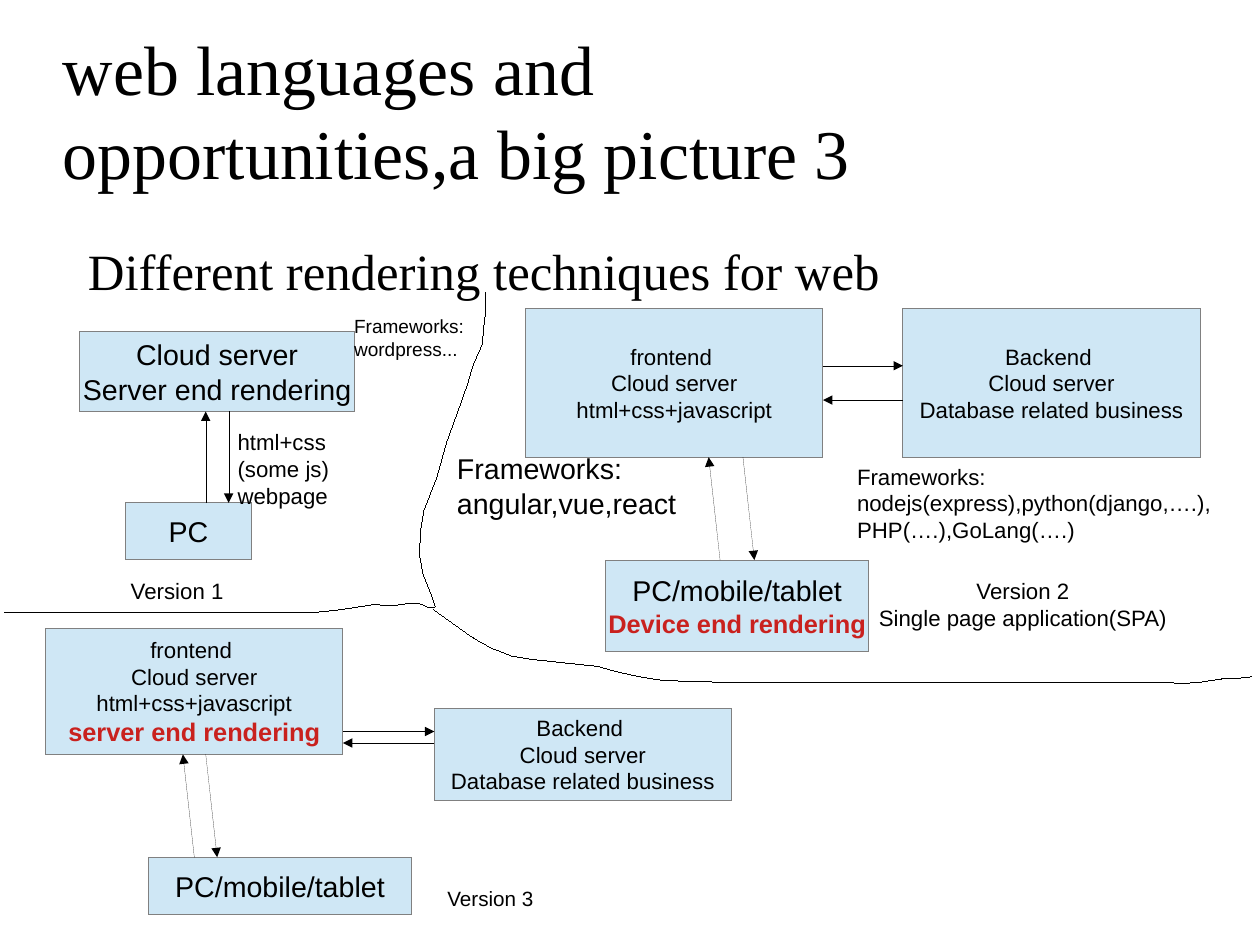
from lxml.etree import SubElement
from pptx import Presentation
from pptx.dml.color import RGBColor
from pptx.enum.shapes import MSO_CONNECTOR, MSO_SHAPE
from pptx.enum.text import MSO_ANCHOR, PP_ALIGN
from pptx.oxml.ns import qn
from pptx.util import Cm, Pt

PX = 9144
COLORS = {"ink": "000000", "box": "CFE7F5", "border": "808080", "accent": "C9211E"}
TITLE = {"size": Pt(44), "name": "Times New Roman"}
SUBTITLE = {"size": Pt(32), "name": "Times New Roman"}
LARGE = {"size": Pt(18), "name": "Arial"}
BODY = {"size": Pt(14), "name": "Arial"}
CAPTION = {"size": Pt(13), "name": "Arial"}
SMALL = {"size": Pt(12), "name": "Arial"}
ACCENT = {"size": Pt(16), "name": "Arial", "bold": True}
FRONTEND = ["frontend ", "Cloud server", "html+css+javascript"]
BACKEND = ["Backend ", "Cloud server", "Database related business"]


def color(name):
    """Look up a named colour."""
    return RGBColor.from_string(COLORS[name])


def emu(*lengths):
    """Turn px lengths into EMU."""
    return [length * PX for length in lengths]


def place(box, left, top, width, height):
    """Shift a part by the corner of its region."""
    return box[0] + left, box[1] + top, width, height


def hairline(shape, ink):
    """Give a shape the thinnest line, free of theme styling."""
    shape.line.color.rgb = color(ink)
    shape.line.width = 0
    shape._element.remove(shape._element.find(qn("p:style")))


def write(frame, lines, style, align, accent=None):
    """Fill a text frame with one paragraph for each line."""
    entries = [(line, style, "ink") for line in lines]
    if accent:
        entries.append((accent, ACCENT, "accent"))
    for index, (line, line_style, ink) in enumerate(entries):
        paragraph = frame.add_paragraph() if index else frame.paragraphs[0]
        paragraph.alignment = align
        run = paragraph.add_run()
        run.text = line
        for name, value in line_style.items():
            setattr(run.font, name, value)
        run.font.color.rgb = color(ink)


def label(slide, area, lines, style, align=PP_ALIGN.LEFT, inset=True):
    """Add a wrapped text box."""
    frame = slide.shapes.add_textbox(*emu(*area)).text_frame
    frame.word_wrap = True
    if not inset:
        for side in ("left", "top", "right", "bottom"):
            setattr(frame, f"margin_{side}", 0)
    write(frame, lines, style, align)
    return frame


def node(slide, area, lines, style, accent=None):
    """Add a bordered box with centred text."""
    shape = slide.shapes.add_shape(MSO_SHAPE.RECTANGLE, *emu(*area))
    shape.shadow.inherit = False
    shape.fill.solid()
    shape.fill.fore_color.rgb = color("box")
    hairline(shape, "border")
    frame = shape.text_frame
    frame.word_wrap = False
    frame.vertical_anchor = MSO_ANCHOR.MIDDLE
    write(frame, lines, style, PP_ALIGN.CENTER, accent)


def arrows(slide, box, routes):
    """Draw arrows between points of a region."""
    left, top = box[:2]
    for x1, y1, x2, y2 in routes:
        ends = emu(left + x1, top + y1, left + x2, top + y2)
        connector = slide.shapes.add_connector(MSO_CONNECTOR.STRAIGHT, *ends)
        hairline(connector, "ink")
        SubElement(connector.line._get_or_add_ln(), qn("a:tailEnd"), type="triangle")
        SubElement(connector._element.spPr, qn("a:effectLst"))


def header(slide, box):
    """Place the title and the subtitle."""
    title = label(slide, place(box, 25, 0, 843, 135),
                  ["web languages and opportunities,a big picture 3"], TITLE, inset=False)
    title.vertical_anchor = MSO_ANCHOR.MIDDLE
    label(slide, place(box, 47, 182, 983, 50),
          ["Different rendering techniques for web"], SUBTITLE, inset=False)


def version_one(slide, box):
    """Draw rendering on the server."""
    node(slide, place(box, 40, 170, 110, 50), ["PC"], LARGE)
    node(slide, place(box, 0, 20, 240, 70), ["Cloud server", "Server end rendering"], LARGE)
    arrows(slide, box, [(110, 170, 110, 90), (130, 90, 130, 170)])
    label(slide, place(box, 128, 100, 103, 75), ["html+css(some js)", "webpage"], BODY)
    label(slide, place(box, 20, 230, 130, 38), ["Version 1"], BODY, PP_ALIGN.CENTER)
    label(slide, place(box, 230, 0, 120, 47), ["Frameworks: wordpress..."], SMALL)


def version_two(slide, box):
    """Draw the single page application."""
    node(slide, place(box, 140, 220, 230, 80), ["PC/mobile/tablet"], LARGE, "Device end rendering")
    node(slide, place(box, 400, 0, 260, 130), BACKEND, BODY)
    node(slide, place(box, 70, 0, 260, 130), FRONTEND, BODY)
    arrows(slide, box, [(240, 220, 230, 130), (260, 130, 270, 220),
                        (330, 50, 400, 50), (400, 80, 330, 80)])
    label(slide, place(box, 360, 230, 290, 78),
          ["Version 2", "Single page application(SPA)"], BODY, PP_ALIGN.CENTER)
    label(slide, place(box, 0, 120, 240, 66), ["Frameworks: angular,vue,react"], LARGE)
    label(slide, place(box, 350, 130, 330, 75),
          ["Frameworks: nodejs(express),python(django,….),PHP(….),GoLang(….)"], BODY)


def version_three(slide, box):
    """Draw the frontend rendered on the server."""
    node(slide, place(box, 90, 200, 230, 50), ["PC/mobile/tablet"], LARGE)
    node(slide, place(box, 340, 70, 260, 80), BACKEND, BODY)
    node(slide, place(box, 0, 0, 260, 110), FRONTEND, BODY, "server end rendering")
    arrows(slide, box, [(130, 200, 120, 110), (140, 110, 150, 200),
                        (260, 90, 340, 90), (340, 100, 260, 100)])
    label(slide, place(box, 329, 220, 120, 30), ["Version 3"], CAPTION, PP_ALIGN.CENTER)


def divider(slide, box, points):
    """Draw a hand-drawn boundary through points of a region."""
    route = [(box[0] + x, box[1] + y) for x, y in points]
    builder = slide.shapes.build_freeform(*route[0], scale=PX)
    builder.add_line_segments(route[1:], close=False)
    shape = builder.convert_to_shape()
    shape.shadow.inherit = False
    shape.fill.background()
    hairline(shape, "ink")


def main():
    """Build and save the slide."""
    presentation = Presentation()
    presentation.slide_width = Cm(28)
    presentation.slide_height = Cm(21)
    slide = presentation.slides.add_slide(presentation.slide_layouts[6])
    header(slide, (30, 28))
    version_one(slide, (70, 270))
    version_two(slide, (390, 270))
    version_three(slide, (40, 550))
    divider(slide, (4, 256), [
        (0, 280), (251, 280), (270, 280), (290, 278), (323, 273), (339, 274),
        (354, 272), (363, 272), (372, 276), (377, 275), (373, 263), (366, 246),
        (363, 229), (364, 208), (367, 190), (378, 162), (387, 130), (399, 97),
        (405, 80), (410, 63), (418, 45), (419, 32), (421, 16), (421, 0)])
    divider(slide, (379, 533), [
        (0, 0), (35, 25), (51, 34), (69, 41), (87, 44), (106, 46), (125, 48),
        (144, 50), (162, 55), (180, 59), (199, 62), (218, 63), (256, 64),
        (638, 64), (656, 65), (670, 64), (690, 61), (710, 60), (716, 59)])
    presentation.save("out.pptx")


if __name__ == "__main__":
    main()
